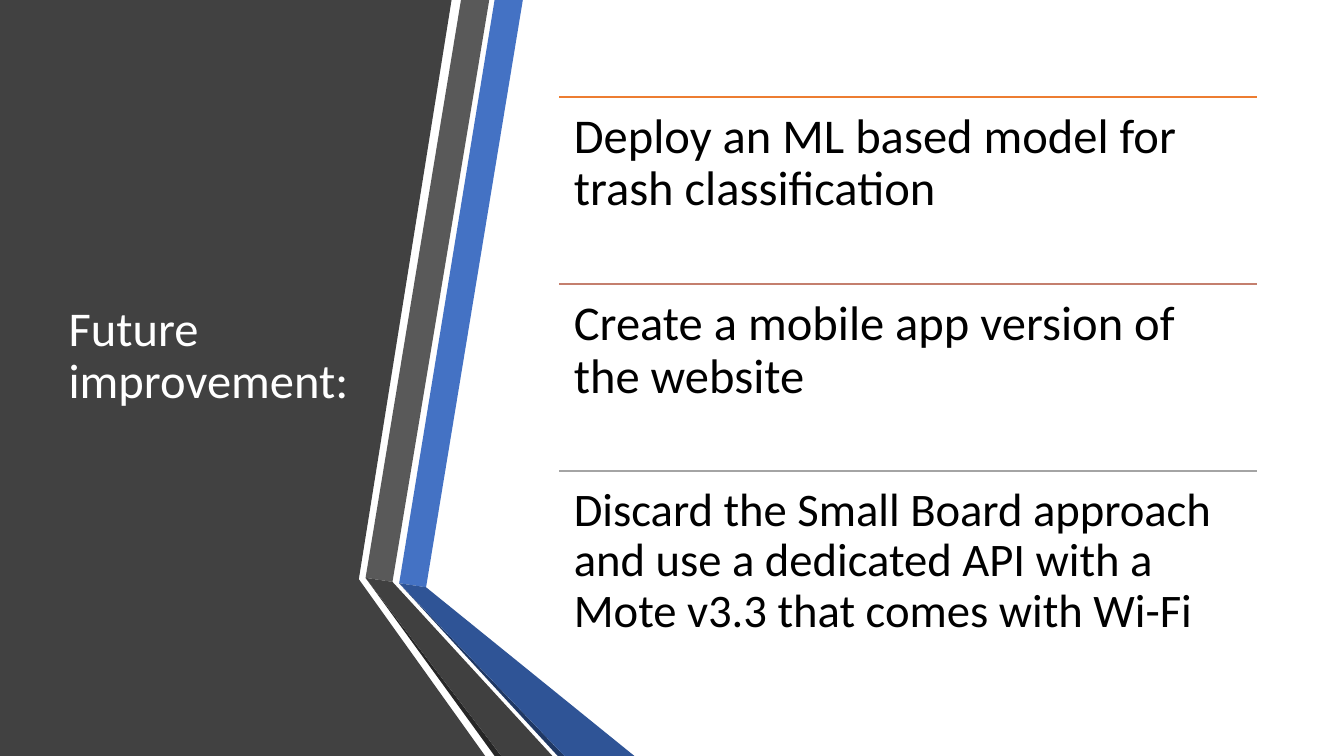
from dataclasses import dataclass

from lxml import etree
from pptx import Presentation
from pptx import util as u
from pptx.dml.color import RGBColor
from pptx.enum import shapes, text
from pptx.oxml.ns import qn


@dataclass(frozen=True)
class Theme:
    font: str = "Calibri"
    size: int = 26
    small_size: int = 25
    title: str = "FFFFFF"
    body: str = "000000"
    panel: str = "414141"
    blue: str = "4472C4"
    blue_dark: str = "2F5496"
    blue_shadow: str = "1F3864"
    gray: str = "595959"
    gray_dark: str = "404040"
    gray_shadow: str = "262626"


THEME = Theme()
WIDTH = 10
HEIGHT = WIDTH * 9 / 16

TITLE = "Future improvement:"
# Wording, rule colour, type size
IMPROVEMENTS = [
    ("Deploy an ML based model for trash classification", "ED7D31", THEME.size),
    ("Create a mobile app version of the website", "C47F6E", THEME.size),
    ("Discard the Small Board approach and use a dedicated API with a "
     "Mote v3.3 that comes with Wi-Fi", "A4A4A4", THEME.small_size),
]

# Corners shared by the folded ribbons
GRAY_LEFT, GRAY_RIGHT = (2.72, 4.3), (2.92, 4.33)
BLUE_LEFT, BLUE_RIGHT = (2.97, 4.34), (3.17, 4.37)
GRAY_FOOT, BLUE_FOOT = (3.73, HEIGHT), (4.2, HEIGHT)
FACETS = [
    (THEME.panel, [(0, 0), (3.36, 0), (2.67, 4.31), (3.61, HEIGHT), (0, HEIGHT)]),
    (THEME.blue, [BLUE_LEFT, BLUE_RIGHT, (3.89, 0), (3.68, 0)]),
    (THEME.gray, [GRAY_LEFT, GRAY_RIGHT, (3.64, 0), (3.43, 0)]),
    (THEME.gray_shadow, [GRAY_LEFT, (3.68, HEIGHT), GRAY_FOOT]),
    (THEME.blue_shadow, [BLUE_LEFT, (4.15, HEIGHT), BLUE_FOOT]),
    (THEME.blue_dark, [BLUE_LEFT, BLUE_FOOT, (4.72, HEIGHT), BLUE_RIGHT]),
    (THEME.gray_dark, [GRAY_LEFT, GRAY_FOOT, (4.11, HEIGHT), GRAY_RIGHT]),
]

LIST_LEFT, LIST_TOP, LIST_WIDTH, LIST_HEIGHT = 4.16, 0.72, 5.19, 4.18
ROW_HEIGHT = LIST_HEIGHT / len(IMPROVEMENTS)


def set_all(target, values):
    for name, value in values.items():
        setattr(target, name, value)


def write(shape, wording, size, color, anchor, margins):
    frame = shape.text_frame
    frame.text = wording
    set_all(frame, {"word_wrap": True, "auto_size": text.MSO_AUTO_SIZE.NONE,
                    "vertical_anchor": anchor})
    for side, margin in zip(("left", "top", "right", "bottom"), margins):
        setattr(frame, f"margin_{side}", u.Inches(margin))
    paragraph = frame.paragraphs[0]
    set_all(paragraph, {"alignment": text.PP_ALIGN.LEFT, "line_spacing": 0.9,
                        "space_before": u.Pt(0)})
    set_all(paragraph.font, {"name": THEME.font, "size": u.Pt(size)})
    paragraph.font.color.rgb = RGBColor.from_string(color)


def add_facet(slide, color, corners):
    """Draw a closed outline; corners go in as EMU, since the builder rounds them."""
    start, *others = [(u.Inches(x), u.Inches(y)) for x, y in corners]
    builder = slide.shapes.build_freeform(*start)
    builder.add_line_segments(others, close=True)
    facet = builder.convert_to_shape()
    facet.shadow.inherit = False
    facet.fill.solid()
    facet.fill.fore_color.rgb = RGBColor.from_string(color)
    facet.line.fill.background()


def add_rule(slide, top, color):
    left, right, y = (u.Inches(v) for v in (LIST_LEFT, LIST_LEFT + LIST_WIDTH, top))
    rule = slide.shapes.add_connector(shapes.MSO_CONNECTOR.STRAIGHT, left, y, right, y)
    rule.line.width = u.Pt(1)
    rule.line.color.rgb = RGBColor.from_string(color)
    etree.SubElement(rule.element.spPr, qn("a:effectLst"))


def add_title(slide):
    """Fill the title placeholder and bring it in front of the panel."""
    title = slide.shapes.title
    set_all(title, {"left": u.Inches(0.44), "top": u.Inches(0.56),
                    "width": u.Inches(2.28), "height": u.Inches(4.19)})
    write(title, TITLE, THEME.size, THEME.title, text.MSO_ANCHOR.MIDDLE,
          (0.07, 0.04, 0.07, 0.04))
    title.element.getparent().append(title.element)


def add_improvements(slide):
    for row, (wording, color, size) in enumerate(IMPROVEMENTS):
        top = LIST_TOP + row * ROW_HEIGHT
        add_rule(slide, top, color)
        box = slide.shapes.add_textbox(
            *(u.Inches(v) for v in (LIST_LEFT, top, LIST_WIDTH, ROW_HEIGHT)))
        write(box, wording, size, THEME.body, text.MSO_ANCHOR.TOP, (0.11,) * 4)


def main():
    presentation = Presentation()
    presentation.slide_width = u.Inches(WIDTH)
    presentation.slide_height = u.Inches(HEIGHT)
    slide = presentation.slides.add_slide(
        presentation.slide_layouts.get_by_name("Title Only"))
    for color, corners in FACETS:
        add_facet(slide, color, corners)
    add_title(slide)
    add_improvements(slide)
    presentation.save("out.pptx")


if __name__ == "__main__":
    main()
